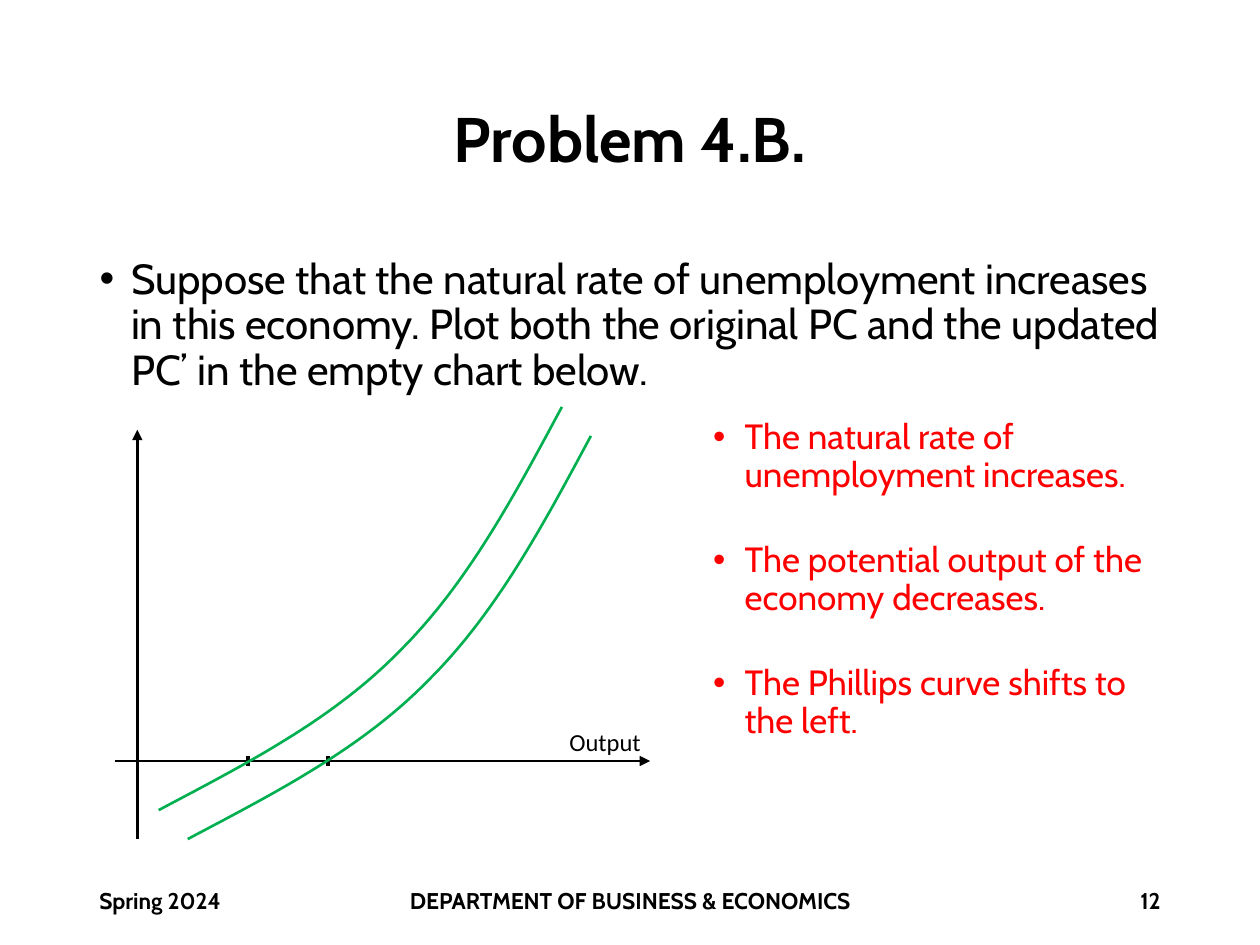
from lxml import etree
from pptx import Presentation
from pptx.dml.color import RGBColor
from pptx.enum.shapes import MSO_CONNECTOR
from pptx.enum.text import MSO_ANCHOR, MSO_AUTO_SIZE, PP_ALIGN
from pptx.oxml.ns import qn
from pptx.util import Inches, Pt

LINE = MSO_CONNECTOR.STRAIGHT
TOP, MIDDLE = MSO_ANCHOR.TOP, MSO_ANCHOR.MIDDLE
NO_FIT, GROW = MSO_AUTO_SIZE.NONE, MSO_AUTO_SIZE.SHAPE_TO_FIT_TEXT
LEFT, CENTER, RIGHT = PP_ALIGN.LEFT, PP_ALIGN.CENTER, PP_ALIGN.RIGHT
BLACK, RED, GREEN = "000000", "FF0000", "00B050"
CURVE = [(4.69, 3.46), (4.31, 4.17), (3.93, 4.88), (3.39, 5.41),
         (2.86, 5.95), (2.17, 6.3), (1.49, 6.66)]
TASK = ("Suppose that the natural rate of unemployment increases in this economy. "
        "Plot both the original PC and the updated PC’ in the empty chart below.")
STEPS = ["The natural rate of unemployment increases.",
         "The potential output of the economy decreases.",
         "The Phillips curve shifts to the left."]


def paint(target, color):
    """Give a font or line a solid colour from a hex string."""
    target.color.rgb = RGBColor.from_string(color)


def style(para, size, color=BLACK, bold=False, face="Cabin"):
    """Set the font of a whole paragraph."""
    font = para.font
    font.name, font.size, font.bold = face, Pt(size), bold
    paint(font, color)


def place(shape, left, top, width, height):
    """Move and size a shape in inches."""
    shape.left, shape.top = Inches(left), Inches(top)
    shape.width, shape.height = Inches(width), Inches(height)


def add_title(slide, text, box):
    """Fill the title placeholder."""
    place(slide.shapes.title, *box)
    frame = slide.shapes.title.text_frame
    frame.text = text
    frame.auto_size, frame.vertical_anchor = NO_FIT, MIDDLE
    para = frame.paragraphs[0]
    para.alignment, para.line_spacing = CENTER, 0.9
    style(para, 36, bold=True)


def add_list(holder, items, box, size, color, level=0, gap=0):
    """Fill a body placeholder with bulleted paragraphs."""
    place(holder, *box)
    frame = holder.text_frame
    frame.text = "\n".join(items)
    frame.auto_size, frame.vertical_anchor = NO_FIT, TOP
    for i, para in enumerate(frame.paragraphs):
        para.level, para.line_spacing = level, 0.9
        para.space_before = Pt(gap if i else 0)
        props = para._p.get_or_add_pPr()
        props.set("marL", str(Inches(0.25 + 0.5 * level)))
        props.set("indent", str(Inches(-0.25)))
        etree.SubElement(props, qn("a:buFont"), typeface="Arial")
        etree.SubElement(props, qn("a:buChar"), char="•")
        style(para, size, color)


def add_label(slide, text, box, align=LEFT):
    """Add one bold footer label."""
    frame = slide.shapes.add_textbox(*map(Inches, box)).text_frame
    frame.text = text
    frame.word_wrap, frame.vertical_anchor = True, MIDDLE
    para = frame.paragraphs[0]
    para.alignment = align
    style(para, 13, bold=True)


def add_name(slide, text, box):
    """Add an axis name that does not wrap."""
    frame = slide.shapes.add_textbox(*map(Inches, box)).text_frame
    frame.text = text
    frame.word_wrap, frame.auto_size = False, GROW
    style(frame.paragraphs[0], 14, face="Calibri")


def add_line(slide, start, end, width, arrow=False):
    """Draw a straight black line, with an arrowhead if asked."""
    line = slide.shapes.add_connector(LINE, *map(Inches, start + end))
    paint(line.line, BLACK)
    line.line.width = Pt(width)
    if arrow:
        etree.SubElement(line.line._get_or_add_ln(), qn("a:tailEnd"), type="triangle")
    etree.SubElement(line._element.spPr, qn("a:effectLst"))


def trace(knots, steps=30):
    """Return points along joined cubic Bezier spans."""
    points = [knots[0]]
    for i in range(0, len(knots) - 1, 3):
        for n in range(1, steps + 1):
            t = n / steps
            parts = ((1 - t) ** 3, 3 * t * (1 - t) ** 2, 3 * t * t * (1 - t), t ** 3)
            points.append(tuple(sum(w * knot[axis] for w, knot in zip(parts, knots[i:i + 4]))
                                for axis in (0, 1)))
    return points


def add_curve(slide, shift):
    """Draw the Phillips curve, moved left and up by a shift."""
    points = [(Inches(x - shift), Inches(y - shift)) for x, y in trace(CURVE)]
    pen = slide.shapes.build_freeform(*points[0])
    pen.add_line_segments(points[1:], close=False)
    curve = pen.convert_to_shape()
    curve.shadow.inherit = False
    curve.fill.background()
    paint(curve.line, GREEN)
    curve.line.width = Pt(1.5)


def add_graph(slide):
    """Draw the axes, both curves and their marks on the output axis."""
    add_line(slide, (0.91, 6.04), (5.16, 6.04), 1.5, arrow=True)
    add_line(slide, (1.09, 6.66), (1.09, 3.41), 1.5, arrow=True)
    add_name(slide, "Output", (4.42, 5.72, 0.78, 0.34))
    for mark, shift in ((2.6, 0), (1.97, 0.23)):
        add_line(slide, (mark, 6), (mark, 6.08), 2.25)
        add_curve(slide, shift)


def main():
    """Build and save the slide."""
    deck = Presentation()
    deck.slide_width, deck.slide_height = Inches(10), Inches(7.5)
    slide = deck.slides.add_slide(deck.slide_layouts[3])
    body, notes = slide.placeholders[1], slide.placeholders[2]
    add_title(slide, "Problem 4.B.", (0.69, 0.4, 8.62, 1.45))
    add_list(body, [TASK], (0.69, 2, 8.62, 1.38), 24, BLACK)
    add_list(notes, STEPS, (5.06, 3.28, 4.25, 3.48), 20, RED, level=1, gap=27)
    add_graph(slide)
    add_label(slide, "Spring 2024", (0.69, 6.95, 2.25, 0.4))
    add_label(slide, "DEPARTMENT OF BUSINESS & ECONOMICS", (1.85, 6.95, 6.3, 0.4), CENTER)
    add_label(slide, "12", (7.06, 6.95, 2.25, 0.4), RIGHT)
    deck.save("out.pptx")


if __name__ == "__main__":
    main()
